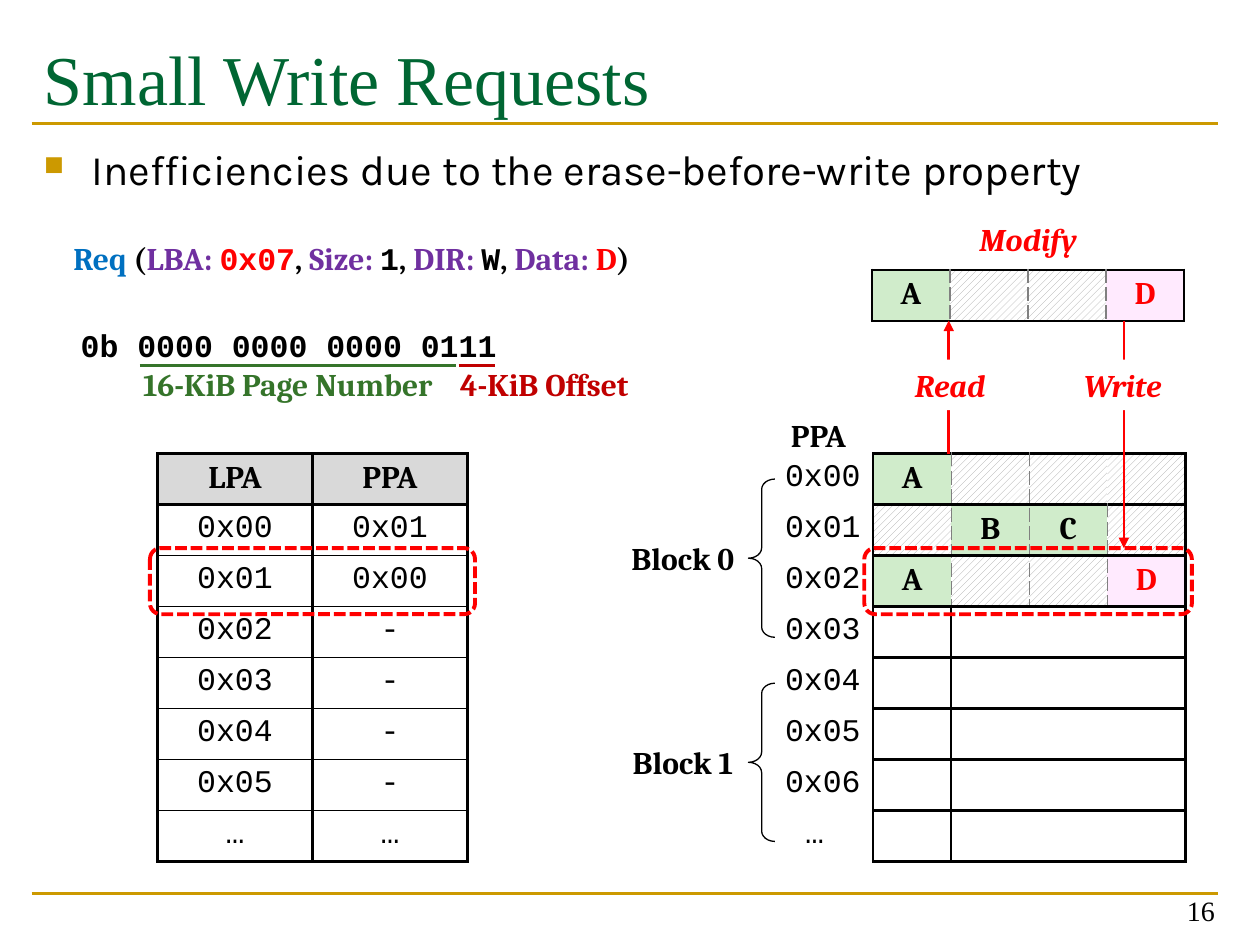
from lxml import etree
from pptx import Presentation
from pptx import util as u
from pptx.dml.color import RGBColor
from pptx.enum import dml, shapes, text
from pptx.oxml import ns

WIDTH, HEIGHT = 10, 7.5
ROW = 0.405                       # height of one table row
SERIF, MONO, TITLE, BODY = "Cambria", "Courier New", "Times New Roman", "Karla"
BLACK, WHITE, RED, GOLD = "000000", "FFFFFF", "FF0000", "CC9900"
GREEN, DARK_RED, PURPLE, GRAY = "35742A", "C00000", "7030A0", "808080"
CELL_FILLS = {"A": "D0ECCB", "B": "D0ECCB", "C": "D0ECCB", "D": "FFEAFE", " ": WHITE}
STALE = "/"                       # a hatched cell
NO_STYLE = "{2D5ABB26-0587-4C30-8999-92F81FD0307C}"
SOLID, THIN, DASHED = (BLACK, 1.5, "solid"), (BLACK, 1, "solid"), (GRAY, 1, "sysDash")
ALIGN = {"l": text.PP_ALIGN.LEFT, "c": text.PP_ALIGN.CENTER, "r": text.PP_ALIGN.RIGHT}
ANCHOR = {"t": text.MSO_ANCHOR.TOP, "m": text.MSO_ANCHOR.MIDDLE, "b": text.MSO_ANCHOR.BOTTOM}


def color(value):
    return RGBColor.from_string(value)


def inches(box):
    return [u.Inches(value) for value in box]


def child(parent, tag, **attributes):
    return etree.SubElement(parent, ns.qn(tag), attributes)


def write(para, words, size=18, font=SERIF, ink=BLACK, bold=False, italic=False, align="c"):
    para.alignment = ALIGN[align]
    span = para.add_run()
    span.text = words
    span.font.size, span.font.name = u.Pt(size), font
    span.font.bold, span.font.italic = bold, italic
    span.font.color.rgb = color(ink)


def label(page, box, spans, anchor="m", fill=None, wrap=True, **style):
    """A text box; spans is a string or a list of (words, format) pairs."""
    holder = page.shapes.add_textbox(*inches(box))
    if fill:
        holder.fill.solid()
        holder.fill.fore_color.rgb = color(fill)
    frame = holder.text_frame
    frame.word_wrap, frame.vertical_anchor = wrap, ANCHOR[anchor]
    for words, extra in [(spans, {})] if isinstance(spans, str) else spans:
        write(frame.paragraphs[0], words, **{**style, **extra})
    return frame


def line(page, start, end, ink, arrow=False):
    rule = page.shapes.add_connector(shapes.MSO_CONNECTOR.STRAIGHT, *inches(start + end))
    rule.line.color.rgb, rule.line.width = color(ink), u.Pt(1.5)
    if arrow:
        child(rule.line._get_or_add_ln(), "a:tailEnd", type="triangle")
    child(rule._element.spPr, "a:effectLst")


def outline(page, kind, box, ink, width, dash=None):
    shape = page.shapes.add_shape(kind, *inches(box))
    shape.shadow.inherit = False
    shape.fill.background()
    shape.line.color.rgb, shape.line.width = color(ink), u.Pt(width)
    if dash:
        shape.line.dash_style = dash
    return shape


def highlight(page, left, top, width):
    """Dashed red frame around one table row."""
    gap = 0.06
    outline(page, shapes.MSO_SHAPE.ROUNDED_RECTANGLE,
            (left - gap, top - gap, width + 2 * gap, ROW + 2 * gap),
            RED, 2.25, dml.MSO_LINE.SQUARE_DOT)


def grid(page, box, rows, widths):
    table = page.shapes.add_table(rows, len(widths), *inches(box)).table
    table.first_row = table.horz_banding = False
    table._tbl.tblPr.find(ns.qn("a:tableStyleId")).text = NO_STYLE
    for column, width in zip(table.columns, widths):
        column.width = u.Inches(width)
    for row in table.rows:
        row.height = u.Inches(box[3] / rows)
    return table


def dress(cell, fill, **borders):
    """Set the borders (keys L, R, T, B), then the fill of a cell."""
    tc_pr = cell._tc.get_or_add_tcPr()
    for side in "LRTB":
        if borders.get(side):
            ink, width, dash = borders[side]
            edge = child(tc_pr, f"a:ln{side}", w=str(u.Pt(width)))
            child(child(edge, "a:solidFill"), "a:srgbClr", val=ink)
            child(edge, "a:prstDash", val=dash)
    if fill == STALE:
        cell.fill.patterned()
        cell.fill.pattern = dml.MSO_PATTERN.WIDE_UPWARD_DIAGONAL
        cell.fill.fore_color.rgb, cell.fill.back_color.rgb = color("A6A6A6"), color(WHITE)
    else:
        cell.fill.solid()
        cell.fill.fore_color.rgb = color(fill)


def heading(page, box):
    left, top, width, height = box
    for y in (0.98, 7.09):
        line(page, (left, y), (left + width, y), GOLD)
    label(page, (left, top + 0.06, width, height), "Small Write Requests", anchor="t",
          size=40, font=TITLE, ink="006633", align="l")
    frame = label(page, (left, 1.09, width, 0.6),
                  "Inefficiencies due to the erase-before-write property",
                  anchor="t", size=24, font=BODY, align="l")
    para = frame.paragraphs[0]
    para.space_before = u.Pt(3)
    properties = para._p.get_or_add_pPr()
    properties.set("marL", str(u.Inches(0.38)))
    properties.set("indent", str(-u.Inches(0.38)))
    child(child(properties, "a:buClr"), "a:srgbClr", val=GOLD)
    child(properties, "a:buSzPct", val="65000")
    child(properties, "a:buChar", char="■")
    label(page, (7.41, 6.91, 2.33, 0.5), "16", anchor="b", size=16, font=TITLE, align="r")


def request(page, box):
    """The write request and the two parts of its binary address."""
    left, top, width, height = box
    key, code = {"ink": PURPLE}, {"font": MONO}
    label(page, box, [
        ("Req", {"ink": "0070C0"}), (" (", {}), ("LBA: ", key), ("0x07", {"font": MONO, "ink": RED}),
        (", ", {}), ("Size: ", key), ("1", code), (", ", {}), ("DIR: ", key), ("W", code),
        (", ", {}), ("Data: ", key), ("D", {"ink": RED}), (")", {})], bold=True)
    label(page, (left - 0.5, top + 0.69, width, height), "0b 0000 0000 0000 0111",
          font=MONO, bold=True)
    parts = [("16-KiB Page Number", GREEN, 1.11, 3.62, 0.85, 2.87),
             ("4-KiB Offset", DARK_RED, 3.64, 3.93, 3.43, 1.78)]
    for words, ink, start, end, text_left, text_width in parts:
        line(page, (start, top + 1.05), (end, top + 1.05), ink)
        label(page, (text_left, top + 1, text_width, height), words, ink=ink, bold=True)


def mapping(page, box):
    """Logical to physical page table."""
    left, top, width, _ = box
    entries = [("LPA", "PPA"), ("0x00", "0x01"), ("0x01", "0x00"), ("0x02", "-"),
               ("0x03", "-"), ("0x04", "-"), ("0x05", "-"), ("…", "…")]
    table = grid(page, box, len(entries), [width / 2] * 2)
    for r, entry in enumerate(entries):
        head = r == 0
        for c, words in enumerate(entry):
            cell = table.cell(r, c)
            dress(cell, "D9D9D9" if head else WHITE, L=SOLID, R=SOLID,
                  T=SOLID if r < 2 else THIN,
                  B=SOLID if r in (0, len(entries) - 1) else THIN)
            write(cell.text_frame.paragraphs[0], words, font=SERIF if head else MONO, bold=head)
    highlight(page, left, top + 2 * ROW, width)


def memory(page, box, pages, addresses=()):
    """Flash pages, one code per sector, with an optional address column."""
    sectors = len(pages[0])
    sector = 0.62
    first = 1 if addresses else 0
    widths = [box[2] - sectors * sector] * first + [sector] * sectors
    table = grid(page, box, len(pages), widths)
    for r, codes in enumerate(pages):
        if addresses:
            cell = table.cell(r, 0)
            dress(cell, WHITE, R=SOLID)
            write(cell.text_frame.paragraphs[0], addresses[r], font=MONO,
                  align="c" if addresses[r] == "…" else "r")
        edges = [SOLID] + [DASHED if a != b else None for a, b in zip(codes, codes[1:])] + [SOLID]
        for c, code in enumerate(codes):
            cell = table.cell(r, c + first)
            dress(cell, CELL_FILLS.get(code, STALE), L=edges[c], R=edges[c + 1], T=SOLID, B=SOLID)
            if code.isalpha():
                write(cell.text_frame.paragraphs[0], code, bold=True,
                      ink=RED if code == "D" else BLACK)


def blocks(page, box):
    """Physical blocks of four pages each, named beside braces."""
    left, top, width, height = box
    addresses = [f"0x0{n}" for n in range(7)] + ["…"]
    memory(page, box, ["A///", "/BC/", "A//D"] + ["    "] * 5, addresses)
    label(page, (left + 0.17, top - 0.35, 0.65, 0.4), "PPA", anchor="t", wrap=False, bold=True)
    for number in range(2):
        brace_top, brace_height = top + (4 * number + 0.5) * ROW, 3.1 * ROW
        brace = outline(page, shapes.MSO_SHAPE.LEFT_BRACE,
                        (left - 0.06, brace_top, 0.21, brace_height), BLACK, 0.75)
        brace.adjustments[0] = 0.39
        label(page, (left - 1.16, brace_top + brace_height / 2 - 0.2, 1.16, 0.4),
              f"Block {number}", bold=True)


def update(page, box, table_top):
    """Read, modify and write steps between the buffer and the blocks."""
    left, top, width, height = box
    memory(page, box, ["A//D"])
    bottom, target = top + height, table_top + 2 * ROW
    step = {"ink": RED, "bold": True, "italic": True}
    label(page, (7.27, top - 0.44, 1.78, 0.4), "Modify", **step)
    line(page, (7.53, table_top), (7.53, bottom), RED, arrow=True)
    line(page, (8.92, bottom), (8.92, target - 0.06), RED, arrow=True)
    for words, x in (("Read", 6.65), ("Write", 8.02)):
        label(page, (x, bottom + 0.31, 1.78, 0.4), words, fill=WHITE, **step)
    highlight(page, left, target, width)


def main():
    deck = Presentation()
    deck.slide_width, deck.slide_height = u.Inches(WIDTH), u.Inches(HEIGHT)
    page = deck.slides.add_slide(deck.slide_layouts[6])
    table_top = 0.48 * HEIGHT
    heading(page, (0.25, 0.17, 9.42, 0.8))
    request(page, (0.25, 1.85, 5.08, 0.4))
    mapping(page, (1.25, table_top, 2.46, 8 * ROW))
    blocks(page, (6, table_top, 3.41, 8 * ROW))
    update(page, (6.92, 2.14, 2.48, ROW), table_top)
    deck.save("out.pptx")


if __name__ == "__main__":
    main()
